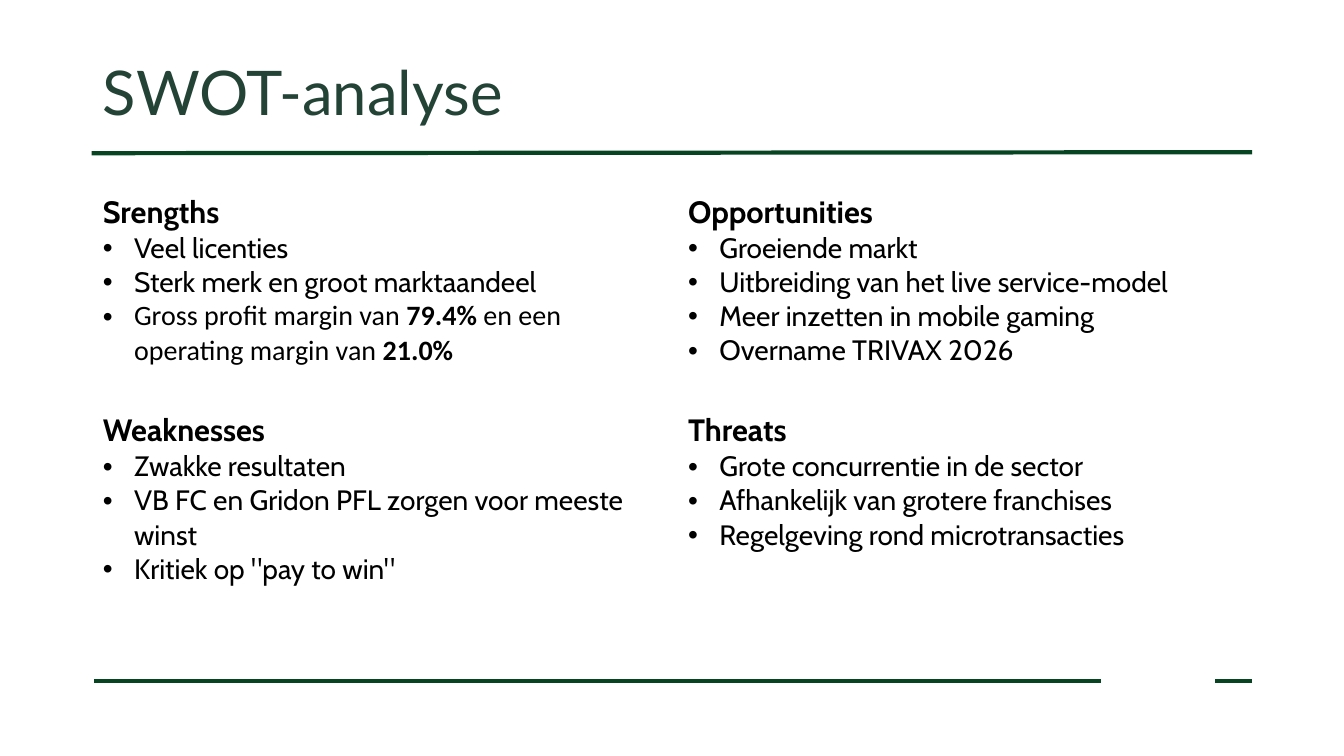
from lxml.etree import SubElement
from pptx import Presentation
from pptx.dml.color import RGBColor
from pptx.enum.shapes import MSO_CONNECTOR
from pptx.enum.text import MSO_ANCHOR, MSO_AUTO_SIZE, PP_ALIGN
from pptx.oxml.ns import qn
from pptx.util import Inches, Pt

WIDTH, HEIGHT = 13.33, 7.5
LEFT, RIGHT = 0.92, 12.42

GREEN = RGBColor(0x07, 0x44, 0x22)
TITLE_GREEN = RGBColor(0x24, 0x43, 0x37)
BLACK = RGBColor(0, 0, 0)
WHITE = RGBColor(0xFF, 0xFF, 0xFF)

# Each quadrant: heading and points; a point is text or (text, bold) spans
MARGINS = [
    ("Gross profit margin van ", False),
    ("79.4% ", True),
    ("en een operating margin van ", False),
    ("21.0%", True),
]
SWOT = [
    [
        ("Srengths", ["Veel licenties", "Sterk merk en groot marktaandeel", MARGINS]),
        ("Opportunities", ["Groeiende markt", "Uitbreiding van het live service-model",
                           "Meer inzetten in mobile gaming", "Overname TRIVAX 2026"]),
    ],
    [
        ("Weaknesses", ["Zwakke resultaten", "VB FC en Gridon PFL zorgen voor meeste winst",
                        'Kritiek op "pay to win"']),
        ("Threats", ["Grote concurrentie in de sector", "Afhankelijk van grotere franchises",
                     "Regelgeving rond microtransacties"]),
    ],
]


def add_span(para, text, font="Cabin", size=20, bold=False, color=BLACK):
    span = para.add_run()
    span.text = text
    span.font.name = font
    span.font.size = Pt(size)
    span.font.bold = bold
    span.font.color.rgb = color


def add_bullet(para, indent=0.31):
    properties = para._p.get_or_add_pPr()
    properties.set("marL", str(Inches(indent)))
    properties.set("indent", str(-Inches(indent)))
    SubElement(properties, qn("a:buFont"), typeface="Arial")
    SubElement(properties, qn("a:buChar"), char="•")


def add_rule(page, start, end):
    rule = page.shapes.add_connector(
        MSO_CONNECTOR.STRAIGHT, *(Inches(length) for length in start + end))
    rule.line.color.rgb = GREEN
    rule.line.width = Pt(3)
    SubElement(rule._element.spPr, qn("a:effectLst"))


def add_title(page, text, left, top, width, height):
    title = page.shapes.title
    title.left, title.top = Inches(left), Inches(top)
    title.width, title.height = Inches(width), Inches(height)
    frame = title.text_frame
    frame.word_wrap = True
    frame.auto_size = MSO_AUTO_SIZE.NONE
    frame.vertical_anchor = MSO_ANCHOR.MIDDLE
    para = frame.paragraphs[0]
    para.alignment = PP_ALIGN.LEFT
    para.line_spacing = 0.9
    add_span(para, text, font="Lato", size=44, color=TITLE_GREEN)


def format_cell(cell, bottom_width):
    properties = cell._tc.get_or_add_tcPr()
    for side, width in (("L", 1), ("R", 1), ("T", 1), ("B", bottom_width)):
        border = SubElement(properties, qn(f"a:ln{side}"), w=str(Pt(width)))
        fill = SubElement(border, qn("a:solidFill"))
        SubElement(fill, qn("a:srgbClr"), val=str(WHITE))
    cell.fill.solid()
    cell.fill.fore_color.rgb = WHITE


def fill_quadrant(cell, heading, points):
    frame = cell.text_frame
    add_span(frame.paragraphs[0], heading, size=22, bold=True)
    for point in points:
        para = frame.add_paragraph()
        add_bullet(para)
        if isinstance(point, str):
            add_span(para, point)
        else:
            for text, bold in point:
                add_span(para, text, font="Calibri", bold=bold)


def add_swot_table(page, left, top, width, row_heights):
    table = page.shapes.add_table(
        len(SWOT), len(SWOT[0]), Inches(left), Inches(top),
        Inches(width), Inches(sum(row_heights))).table
    table.first_row = table.horz_banding = False
    for row, (height, quadrants) in enumerate(zip(row_heights, SWOT)):
        table.rows[row].height = Inches(height)
        for column, (heading, points) in enumerate(quadrants):
            cell = table.cell(row, column)
            format_cell(cell, bottom_width=3 if row == 0 else 1)
            fill_quadrant(cell, heading, points)


def add_swot_page(deck):
    page = deck.slides.add_slide(deck.slide_layouts[5])

    # Rules under the title and at the foot, with a gap at the lower right
    foot = 0.9 * HEIGHT + 0.01
    add_rule(page, (RIGHT, 1.51), (0.91, 1.52))
    add_rule(page, (10.92, foot), (0.93, foot))
    add_rule(page, (RIGHT, foot), (12.05, foot))

    # Title and the four quadrants
    add_title(page, "SWOT-analyse", LEFT, 0.4, RIGHT - LEFT, 1.1)
    add_swot_table(page, LEFT, 1.87, 11.61, (2.17, 2.05))


def main():
    deck = Presentation()
    deck.slide_width, deck.slide_height = Inches(WIDTH), Inches(HEIGHT)
    add_swot_page(deck)
    deck.save("out.pptx")


if __name__ == "__main__":
    main()
